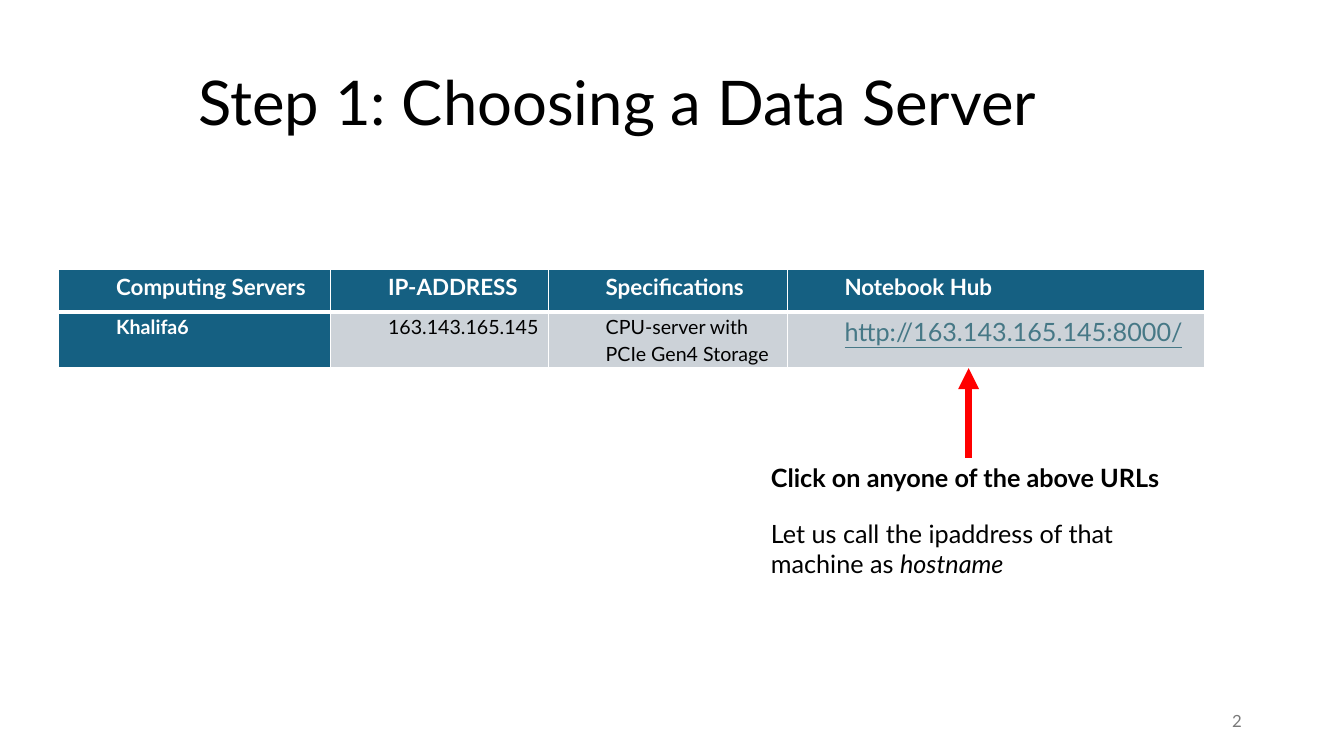
from lxml import etree
from pptx import Presentation
from pptx.dml.color import RGBColor
from pptx.enum.shapes import MSO_CONNECTOR
from pptx.enum.text import MSO_ANCHOR, PP_ALIGN
from pptx.oxml.ns import qn
from pptx.util import Pt

STRAIGHT = MSO_CONNECTOR.STRAIGHT
TOP, MIDDLE = MSO_ANCHOR.TOP, MSO_ANCHOR.MIDDLE
LEFT, RIGHT = PP_ALIGN.LEFT, PP_ALIGN.RIGHT

FONT = "Lato"
BLACK = RGBColor(0x00, 0x00, 0x00)
WHITE = RGBColor(0xFF, 0xFF, 0xFF)
TEAL = RGBColor(0x15, 0x60, 0x82)
PALE = RGBColor(0xCC, 0xD2, 0xD8)
URL_BLUE = RGBColor(0x46, 0x78, 0x86)
RED = RGBColor(0xFF, 0x00, 0x00)
GREY = RGBColor(0x79, 0x79, 0x79)

HEADINGS = ["Computing Servers", "IP-ADDRESS", "Specifications", "Notebook Hub"]
SERVER = ["Khalifa6", "163.143.165.145", "CPU-server with PCIe Gen4 Storage",
          "http://163.143.165.145:8000/"]
COLUMN_WIDTHS = [194.2, 155.5, 170.6, 298]
ROW_HEIGHTS = [30.2, 40.2]


def style(paragraph, size, color, bold=False):
    """Set the font of a whole paragraph."""
    font = paragraph.font
    font.name, font.size, font.bold = FONT, Pt(size), bold
    font.color.rgb = color


def add_text(slide, box, text, size, color=BLACK, bold=False, anchor=TOP,
             align=LEFT, wrap=True):
    """Add a one-paragraph text box and return its paragraph."""
    frame = slide.shapes.add_textbox(*map(Pt, box)).text_frame
    frame.word_wrap, frame.vertical_anchor = wrap, anchor
    paragraph = frame.paragraphs[0]
    paragraph.alignment = align
    paragraph.add_run().text = text
    style(paragraph, size, color, bold)
    return paragraph


def add_borders(cell, widths):
    """Draw white cell borders from a mapping of side to width."""
    properties = cell._tc.get_or_add_tcPr()
    for side, width in widths.items():
        line = etree.SubElement(properties, qn(f"a:ln{side}"), w=str(Pt(width)))
        fill = etree.SubElement(line, qn("a:solidFill"))
        etree.SubElement(fill, qn("a:srgbClr"), val=str(WHITE))


def fill_cell(cell, text, row, column):
    """Write and style one table cell by its row and column."""
    header, url = row == 0, row == 1 and column == 3
    dark = header or column == 0
    add_borders(cell, {"L": 1, "R": 1, "T": 1, "B": 3 if header else 1})
    cell.fill.solid()
    cell.fill.fore_color.rgb = TEAL if dark else PALE
    cell.margin_left = cell.margin_right = Pt(5)
    cell.margin_top = cell.margin_bottom = Pt(0)
    paragraph = cell.text_frame.paragraphs[0]
    paragraph.add_run().text = text
    paragraph.line_spacing = 1.15
    paragraph.space_after = Pt(8 if column > 1 else 0)
    paragraph._p.get_or_add_pPr().set("marL", str(Pt(36)))
    size = 18 if url else 16 if header else 14
    color = URL_BLUE if url else WHITE if dark else BLACK
    style(paragraph, size, color, dark)
    paragraph.font.underline = url


def add_server_table(slide, left, top):
    """Add the table of computing servers."""
    rows = [HEADINGS, SERVER]
    table = slide.shapes.add_table(
        len(rows), len(HEADINGS), Pt(left), Pt(top),
        Pt(sum(COLUMN_WIDTHS)), Pt(sum(ROW_HEIGHTS))).table
    for column, width in zip(table.columns, COLUMN_WIDTHS):
        column.width = Pt(width)
    for row, height in zip(table.rows, ROW_HEIGHTS):
        row.height = Pt(height)
    for r, texts in enumerate(rows):
        for c, text in enumerate(texts):
            fill_cell(table.cell(r, c), text, r, c)


def add_url_hint(slide, left, top, width):
    """Add the red arrow up to the URL and the advice below it."""
    arrow_x, tip = left + 148.3, top - 64
    arrow = slide.shapes.add_connector(
        STRAIGHT, Pt(arrow_x), Pt(top), Pt(arrow_x), Pt(tip))
    arrow.line.color.rgb = RED
    arrow.line.width = Pt(5)
    etree.SubElement(arrow.line._get_or_add_ln(), qn("a:tailEnd"), type="triangle")
    etree.SubElement(arrow._element.spPr, qn("a:effectLst"))
    add_text(slide, (left, top, width, 29), "Click on anyone of the above URLs",
             18, bold=True, wrap=False)
    advice = add_text(slide, (left, top + 39.6, width - 13, 51),
                      "Let us call the ipaddress of that machine as ", 18)
    hostname = advice.add_run()
    hostname.text = "hostname"
    hostname.font.italic = True


def build_server_slide(slide):
    """Place the title, table, hint and page number."""
    title = add_text(slide, (134.6, 23, 676, 104.4),
                     "Step 1: Choosing a Data Server", 44, anchor=MIDDLE)
    title.line_spacing = 0.9
    add_server_table(slide, 42, 192.5)
    add_url_hint(slide, 543.6, 327, 296.6)
    add_text(slide, (678.2, 500.4, 216, 28.8), "2", 12, GREY,
             anchor=MIDDLE, align=RIGHT)


def main():
    """Build and save the presentation."""
    deck = Presentation()
    deck.slide_width, deck.slide_height = Pt(960), Pt(540)
    build_server_slide(deck.slides.add_slide(deck.slide_layouts[6]))
    deck.save("out.pptx")


if __name__ == "__main__":
    main()
